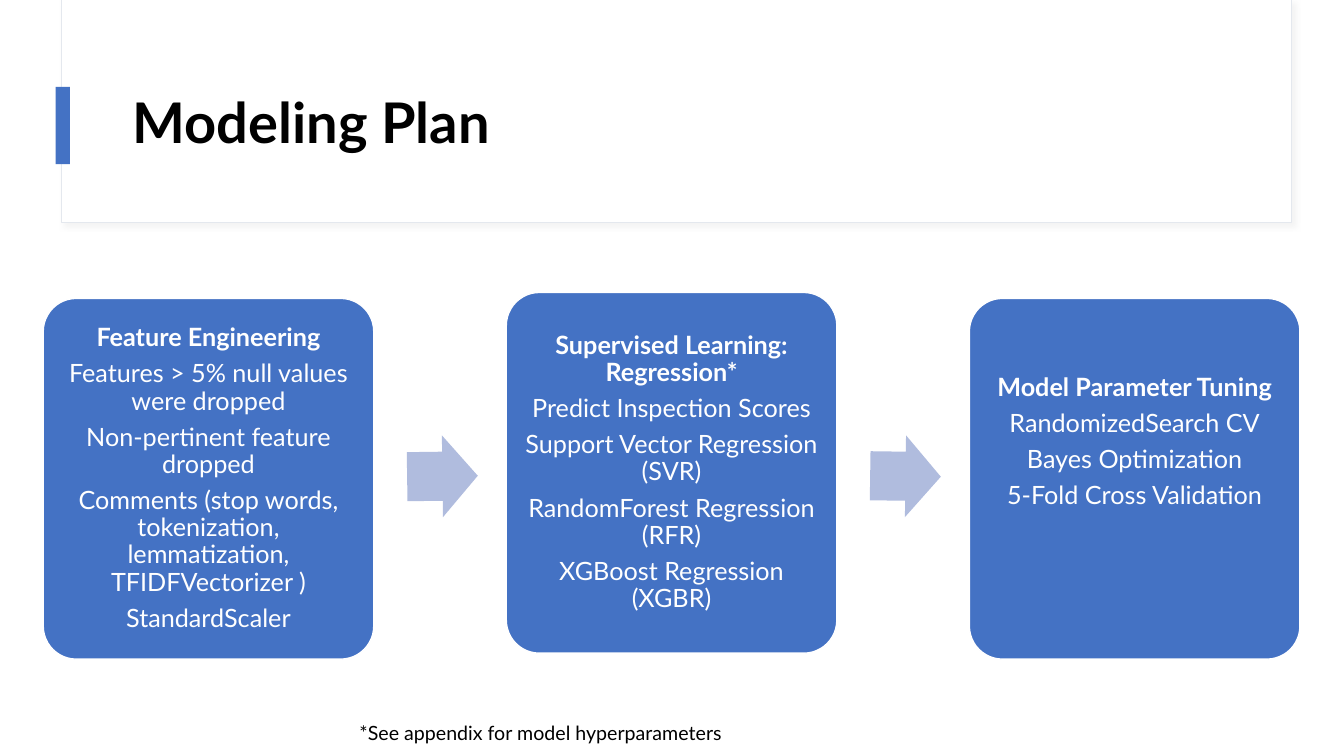
from lxml import etree
from pptx import Presentation
from pptx.dml.color import RGBColor
from pptx.enum import shapes, text
from pptx.oxml import ns
from pptx.util import Cm, Pt

BLUE = RGBColor(0x44, 0x72, 0xC4)
PALE = RGBColor(0xB0, 0xBC, 0xDE)
EDGE = RGBColor(0xE4, 0xE8, 0xEE)
WHITE = RGBColor(0xFF, 0xFF, 0xFF)
BLACK = RGBColor(0x00, 0x00, 0x00)
FONT = "Lato"
KIND = shapes.MSO_SHAPE

STEPS = [
    ("Feature Engineering", [
        "Features > 5% null values were dropped",
        "Non-pertinent feature dropped",
        "Comments (stop words, tokenization, lemmatization, TFIDFVectorizer )",
        "StandardScaler"], 7.52, 0.18),
    ("Supervised Learning: Regression*", [
        "Predict Inspection Scores",
        "Support Vector Regression (SVR)",
        "RandomForest Regression (RFR)",
        "XGBoost Regression (XGBR)"], 7.37, 0.18),
    ("Model Parameter Tuning", [
        "RandomizedSearch CV",
        "Bayes Optimization",
        "5-Fold Cross Validation"], 7.52, 2),
]
TILTS = [-0.8, 0.8]


def add_block(slide, kind, box, fill, line=None, width=1):
    block = slide.shapes.add_shape(kind, *[Cm(n) for n in box])
    block.shadow.inherit = False
    block.fill.solid()
    block.fill.fore_color.rgb = fill
    if line is None:
        block.line.fill.background()
    else:
        block.line.color.rgb = line
        block.line.width = Pt(width)
    return block


def add_run(para, words, size, color, bold=False):
    run = para.add_run()
    run.text = words
    run.font.name = FONT
    run.font.size = Pt(size)
    run.font.bold = bold
    run.font.color.rgb = color


def add_shade(block):
    effects = block._element.spPr.find(ns.qn("a:effectLst"))
    shade = etree.SubElement(effects, ns.qn("a:outerShdw"), blurRad=str(Pt(4)),
                             dist=str(Pt(3)), dir="2700000", rotWithShape="0")
    color = etree.SubElement(shade, ns.qn("a:srgbClr"), val="D9D9D9")
    etree.SubElement(color, ns.qn("a:alpha"), val="30000")


def add_header(slide, left, top, width, height):
    panel = add_block(slide, KIND.RECTANGLE, (left, top, width, height), WHITE, EDGE, 0.75)
    add_shade(panel)
    add_block(slide, KIND.RECTANGLE, (left - 0.15, top + 2.19, 0.36, 1.95), BLUE)
    title = slide.shapes.add_textbox(Cm(left + 1.55), Cm(top + 1.52), Cm(28.24), Cm(3.28))
    frame = title.text_frame
    frame.word_wrap = True
    frame.vertical_anchor = text.MSO_ANCHOR.MIDDLE
    para = frame.paragraphs[0]
    para.line_spacing = 0.9
    add_run(para, "Modeling Plan", 40, BLACK, True)


def add_card(slide, box, head, lines, foot):
    card = add_block(slide, KIND.ROUNDED_RECTANGLE, box, BLUE, WHITE)
    card.adjustments[0] = 0.1
    frame = card.text_frame
    frame.word_wrap = True
    frame.vertical_anchor = text.MSO_ANCHOR.MIDDLE
    frame.margin_left = frame.margin_right = frame.margin_top = Cm(0.18)
    frame.margin_bottom = Cm(foot)
    for i, words in enumerate([head] + lines):
        para = frame.add_paragraph() if i else frame.paragraphs[0]
        para.alignment = text.PP_ALIGN.CENTER
        para.line_spacing = 0.9
        para.space_after = Pt(6.3)
        add_run(para, words, 18, WHITE, i == 0)


def add_flow(slide, left, width, card_w, card_h):
    pitch = (width - card_w) / (len(STEPS) - 1)
    for i, (head, lines, top, foot) in enumerate(STEPS):
        x = left + i * pitch
        add_card(slide, (x, top, card_w, card_h), head, lines, foot)
        if i < len(TILTS):
            arrow = add_block(slide, KIND.RIGHT_ARROW,
                              (x + card_w + 0.84, 10.97, 1.78, 2.06), PALE)
            arrow.adjustments[0] = 0.6
            arrow.adjustments[1] = 0.5
            arrow.rotation = TILTS[i]


def add_note(slide, left, top, width, height):
    note = slide.shapes.add_textbox(Cm(left), Cm(top), Cm(width), Cm(height))
    frame = note.text_frame
    frame.word_wrap = False
    frame.auto_size = text.MSO_AUTO_SIZE.SHAPE_TO_FIT_TEXT
    add_run(frame.paragraphs[0], "*See appendix for model hyperparameters", 14, BLACK)


def main():
    deck = Presentation()
    deck.slide_width = Cm(33.87)
    deck.slide_height = Cm(19.05)
    slide = deck.slides.add_slide(deck.slide_layouts[6])
    add_header(slide, 1.55, 0, 31.01, 5.61)
    add_flow(slide, 1.09, 31.67, 8.33, 9.09)
    add_note(slide, 8.81, 18.03, 10.36, 0.86)
    deck.save("out.pptx")


if __name__ == "__main__":
    main()
